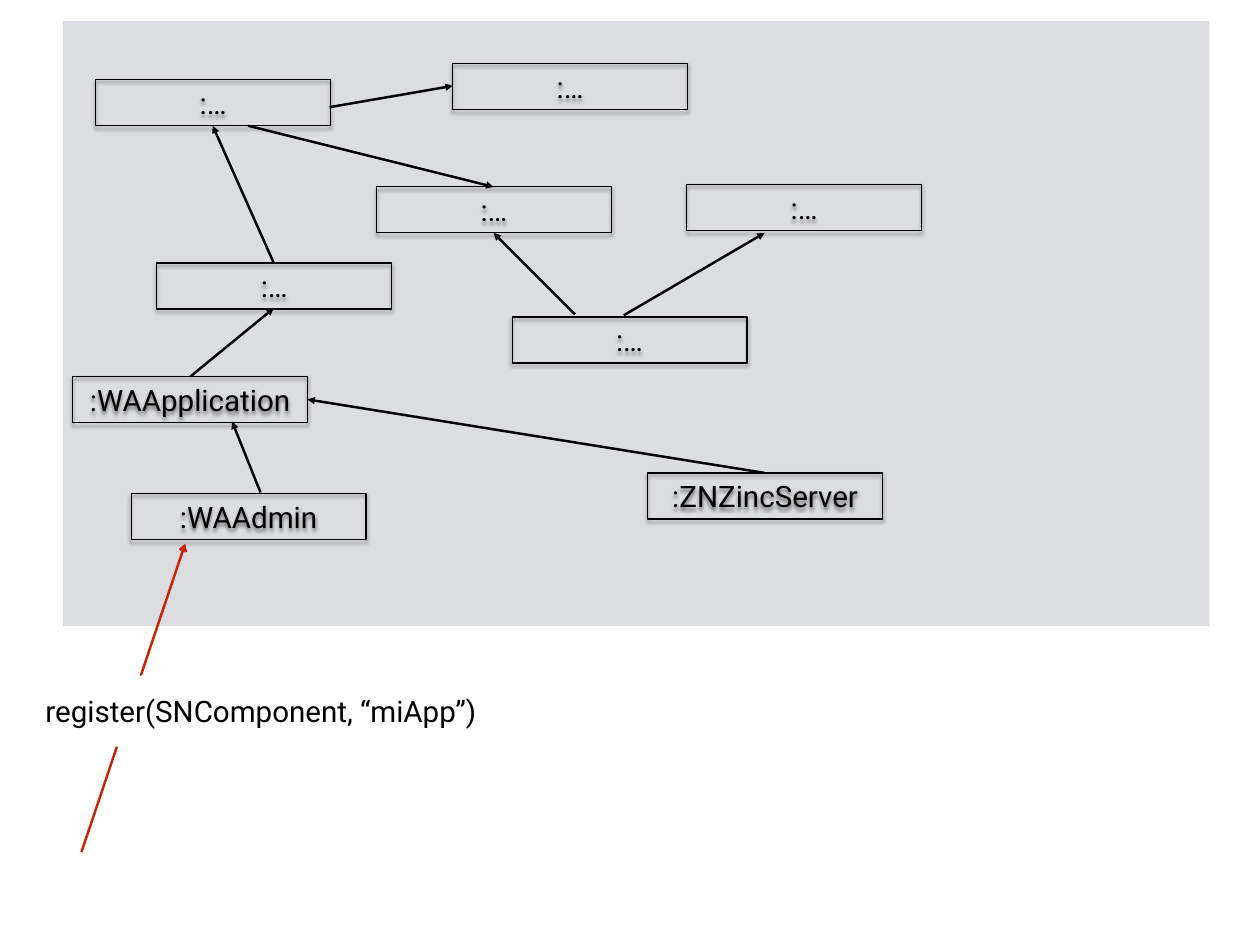
from lxml.etree import SubElement
from pptx import Presentation
from pptx.dml.color import RGBColor
from pptx.enum.shapes import MSO_CONNECTOR as Connector, MSO_SHAPE as Preset
from pptx.enum.text import MSO_ANCHOR as Anchor, MSO_AUTO_SIZE as AutoSize, PP_ALIGN as Align
from pptx.oxml.ns import qn
from pptx.util import Inches, Pt

BLACK = RGBColor(0x00, 0x00, 0x00)
WHITE = RGBColor(0xFF, 0xFF, 0xFF)
GREY = RGBColor(0xDC, 0xDD, 0xE0)
RED = RGBColor(0xC8, 0x25, 0x06)

OBJECT_SIZE = (2.65, 0.52)
OBJECTS = [
    (":WAAdmin", 1.48, 5.57),
    (":ZNZincServer", 7.31, 5.34),
    (":WAApplication", 0.82, 4.25),
    (":…", 7.75, 2.08),
    (":…", 4.25, 2.11),
    (":…", 1.08, 0.9),
    (":…", 5.78, 3.58),
    (":…", 5.11, 0.72),
    (":…", 1.77, 2.97),
]
REFERENCES = [
    ((2.15, 4.25), (3.09, 3.48)),
    ((3.72, 1.21), (5.11, 0.97)),
    ((2.8, 1.42), (5.57, 2.11)),
    ((3.09, 2.97), (2.4, 1.42)),
    ((7.04, 3.56), (8.63, 2.63)),
    ((6.49, 3.55), (5.57, 2.63)),
    ((2.94, 5.56), (2.62, 4.76)),
    ((8.63, 5.34), (3.47, 4.51)),
]


def apply_format(target, values):
    for name, value in values.items():
        setattr(target, name, value)


class ObjectDiagram:
    font_format = {"name": "Roboto", "size": Pt(24)}
    frame_format = {
        "margin_left": Inches(0.06), "margin_right": Inches(0.06),
        "margin_top": Inches(0.06), "margin_bottom": Inches(0.06),
        "vertical_anchor": Anchor.MIDDLE, "auto_size": AutoSize.SHAPE_TO_FIT_TEXT,
    }

    def __init__(self, slide):
        self.slide = slide

    def panel(self, left, top, width, height, fill=None):
        shape = self.slide.shapes.add_shape(
            Preset.RECTANGLE, *map(Inches, (left, top, width, height)))
        if fill is None:
            shape.fill.background()
        else:
            shape.fill.solid()
            shape.fill.fore_color.rgb = fill
        shape.line.fill.background()
        shape.shadow.inherit = False
        return shape

    def set_text(self, shape, text, wrap=True):
        frame = shape.text_frame
        apply_format(frame, {**self.frame_format, "word_wrap": wrap})
        paragraph = frame.paragraphs[0]
        paragraph.alignment = Align.CENTER
        run = paragraph.add_run()
        run.text = text
        apply_format(run.font, self.font_format)
        run.font.color.rgb = BLACK

    def label(self, text, left, top, width, height):
        self.set_text(self.panel(left, top, width, height, WHITE), text, wrap=False)

    def object_box(self, text, left, top):
        shape = self.panel(left, top, *OBJECT_SIZE)
        shape.line.color.rgb = BLACK
        shape.line.width = Pt(1)
        effects = shape._element.spPr.find(qn("a:effectLst"))
        shadow = SubElement(effects, qn("a:outerShdw"), blurRad=str(Pt(3)),
                            dist=str(Pt(2)), dir="5400000", rotWithShape="0")
        color = SubElement(shadow, qn("a:srgbClr"), val=str(BLACK))
        SubElement(color, qn("a:alpha"), val="50000")
        self.set_text(shape, text)

    def arrow(self, start, end, color=BLACK, head="triangle"):
        connector = self.slide.shapes.add_connector(
            Connector.STRAIGHT, *map(Inches, (*start, *end)))
        connector.line.color.rgb = color
        connector.line.width = Pt(2)
        properties = connector._element.spPr
        SubElement(properties.find(qn("a:ln")), qn("a:tailEnd"), type=head)
        SubElement(properties, qn("a:effectLst"))


def main():
    presentation = Presentation()
    presentation.slide_width = Inches(14.22)
    presentation.slide_height = Inches(10.67)
    slide = presentation.slides.add_slide(presentation.slide_layouts[6])
    diagram = ObjectDiagram(slide)

    diagram.panel(0.71, 0.24, 12.94, 6.83, GREY)
    diagram.arrow((0.92, 9.62), (2.09, 6.14), RED, "arrow")
    diagram.label("register(SNComponent, “miApp”)", 0.38, 7.63, 5.13, 0.8)
    for text, left, top in OBJECTS:
        diagram.object_box(text, left, top)
    for start, end in REFERENCES:
        diagram.arrow(start, end)

    presentation.save("out.pptx")


if __name__ == "__main__":
    main()
